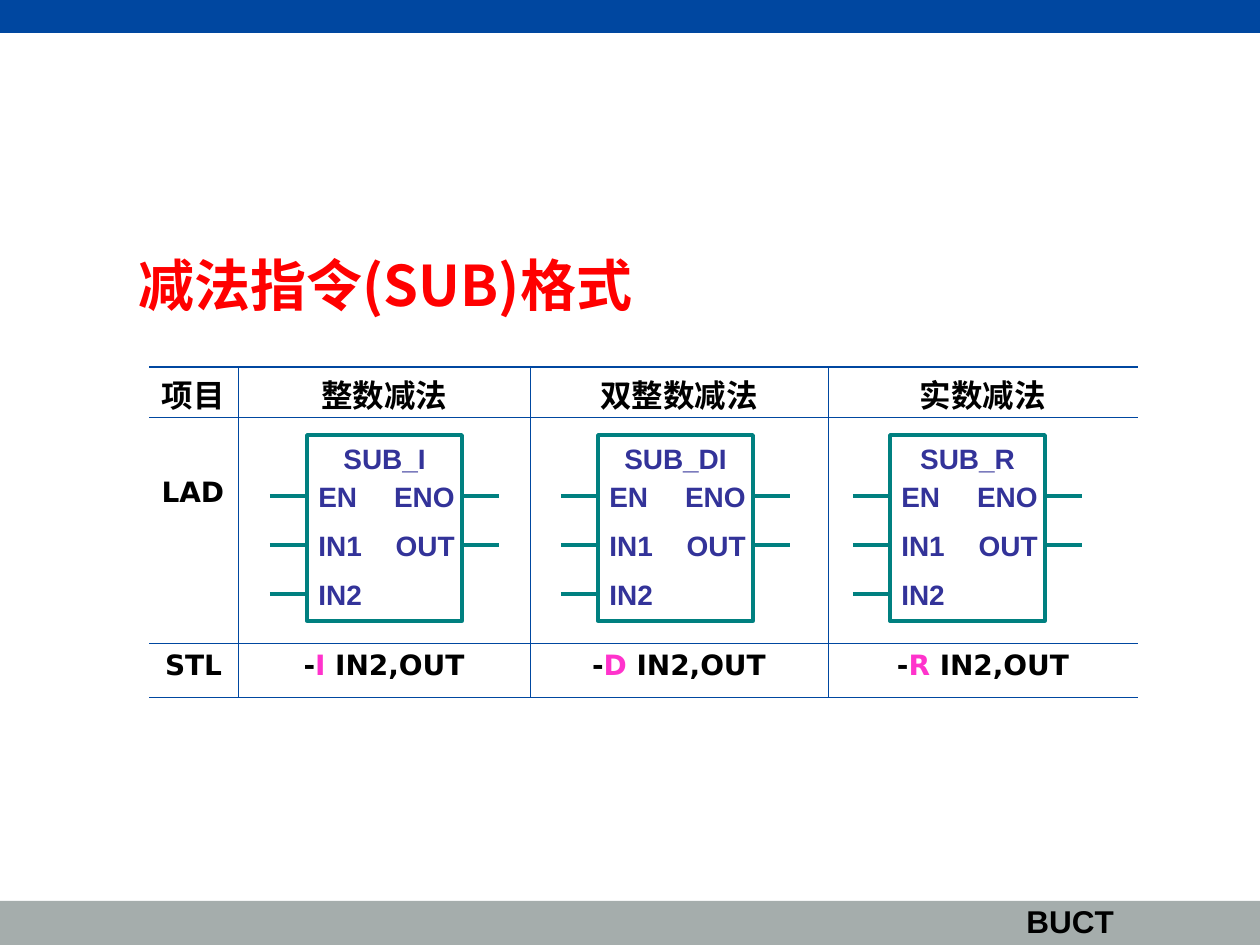
from collections import namedtuple
from dataclasses import dataclass

from lxml import etree
from pptx import Presentation
from pptx.dml.color import RGBColor
from pptx.enum.shapes import MSO_CONNECTOR, MSO_SHAPE
from pptx.enum.text import MSO_ANCHOR, MSO_AUTO_SIZE, PP_ALIGN
from pptx.oxml.ns import qn
from pptx.util import Emu, Pt

Box = namedtuple("Box", "left top width height")


@dataclass(frozen=True)
class Theme:
    blue: str = "0047A0"
    grey: str = "A5ADAC"
    red: str = "FF0000"
    black: str = "000000"
    teal: str = "008080"
    indigo: str = "333399"
    pink: str = "FF33CC"
    label_font: str = "Arial"
    table_font: str = "DejaVu Sans"
    chinese_font: str = "Noto Sans CJK SC"
    title_size: int = 32
    heading_size: int = 18
    body_size: int = 16
    wire_width: float = 2
    rule_width: float = 0.45
    top_rule_width: float = 1.08


THEME = Theme()
SUBTRACTIONS = [  # heading, block name, STL type letter
    ("整数减法", "SUB_I", "I"),
    ("双整数减法", "SUB_DI", "D"),
    ("实数减法", "SUB_R", "R"),
]


def px(length):
    return Emu(round(length * 914400 / 126))


def emu(box):
    return [px(length) for length in box]


def rgb(color):
    return RGBColor.from_string(color)


def format_paragraph(paragraph, size, color, font, align=PP_ALIGN.LEFT):
    paragraph.alignment = align
    paragraph.font.size = Pt(size)
    paragraph.font.bold = True
    paragraph.font.color.rgb = rgb(color)
    paragraph.font.name = font
    defaults = paragraph._p.pPr.find(qn("a:defRPr"))
    etree.SubElement(defaults, qn("a:ea")).set("typeface", THEME.chinese_font)


def add_label(shapes, box, text, size, color, align=PP_ALIGN.LEFT):
    frame = shapes.add_textbox(*emu(box)).text_frame
    frame.word_wrap = True
    frame.text = text
    format_paragraph(frame.paragraphs[0], size, color, THEME.label_font, align)


def add_band(shapes, box, color):
    band = shapes.add_shape(MSO_SHAPE.RECTANGLE, *emu(box))
    band.shadow.inherit = False
    band.fill.solid()
    band.fill.fore_color.rgb = rgb(color)
    band.line.fill.background()


def add_footer(shapes, box):
    add_band(shapes, box, THEME.grey)
    school = Box(box.left + 1014, box.top - 5, 126, 50)
    add_label(shapes, school, "BUCT", THEME.heading_size, THEME.black)


def place_title(title, box):
    title.left, title.top, title.width, title.height = emu(box)
    frame = title.text_frame
    frame.text = "减法指令(SUB)格式"
    frame.auto_size = MSO_AUTO_SIZE.NONE
    frame.vertical_anchor = MSO_ANCHOR.MIDDLE
    format_paragraph(frame.paragraphs[0], THEME.title_size, THEME.red,
                     THEME.chinese_font, PP_ALIGN.CENTER)


def set_borders(cell, widths):
    """Draw left, right, top and bottom rules; a width of 0 hides the rule."""
    properties = cell._tc.get_or_add_tcPr()
    for side, width in zip("LRTB", widths):
        rule = etree.SubElement(properties, qn(f"a:ln{side}"), w=str(Pt(width)))
        if width:
            fill = etree.SubElement(rule, qn("a:solidFill"))
            etree.SubElement(fill, qn("a:srgbClr"), val=THEME.blue)
        else:
            etree.SubElement(rule, qn("a:noFill"))
    cell.fill.background()


def write_cell(cell, pieces, size, align=PP_ALIGN.CENTER):
    """Write (text, color) pieces; a color of None keeps the paragraph's."""
    paragraph = cell.text_frame.paragraphs[0]
    format_paragraph(paragraph, size, THEME.black, THEME.table_font, align)
    for text, color in pieces:
        run = paragraph.add_run()
        run.text = text
        if color:
            run.font.color.rgb = rgb(color)


def add_format_table(shapes, box, widths, heights):
    table = shapes.add_table(len(heights), len(widths), *emu(box)).table
    table.first_row = table.horz_banding = False
    for column, width in zip(table.columns, widths):
        column.width = px(width)
    for row, height in zip(table.rows, heights):
        row.height = px(height)

    thin, last = THEME.rule_width, len(widths) - 1
    for r in range(len(heights)):
        for c in range(len(widths)):
            top = thin if r else THEME.top_rule_width
            set_borders(table.cell(r, c),
                        (thin if c else 0, thin if c < last else 0, top, thin))

    headings = ["项目"] + [heading for heading, _, _ in SUBTRACTIONS]
    for c, heading in enumerate(headings):
        cell = table.cell(0, c)
        cell.margin_top, cell.margin_bottom = px(4), 0
        write_cell(cell, [(heading, None)], THEME.heading_size,
                   PP_ALIGN.CENTER if c else PP_ALIGN.LEFT)

    ladder = table.cell(1, 0)
    ladder.margin_top = px(60)
    write_cell(ladder, [("LAD", None)], THEME.body_size, PP_ALIGN.LEFT)

    write_cell(table.cell(2, 0), [("STL", None)], THEME.body_size)
    for c, (_, _, letter) in enumerate(SUBTRACTIONS, start=1):
        statement = [("-", None), (letter, THEME.pink), (" IN2,OUT", None)]
        write_cell(table.cell(2, c), statement, THEME.body_size)


def add_wire(shapes, left, y, length):
    wire = shapes.add_connector(MSO_CONNECTOR.STRAIGHT, px(left), px(y),
                                px(left + length), px(y))
    wire.line.color.rgb = rgb(THEME.teal)
    wire.line.width = Pt(THEME.wire_width)
    etree.SubElement(wire._element.spPr, qn("a:effectLst"))


def add_ladder_block(shapes, box, name):
    """Draw a function block whose pins have wires outside the box."""
    block = shapes.add_group_shape().shapes
    body = block.add_shape(MSO_SHAPE.RECTANGLE, *emu(box))
    body.shadow.inherit = False
    body.fill.background()
    body.line.color.rgb = rgb(THEME.teal)
    body.line.width = Pt(THEME.wire_width)

    label_height, wire_length, first_pin, pin_gap = 47, 37, 61, 49
    add_label(block, Box(box.left, box.top, box.width, label_height), name,
              THEME.body_size, THEME.indigo, PP_ALIGN.CENTER)

    right = box.left + box.width
    sides = [
        (("EN", "IN1", "IN2"), box.left - 1, 74, box.left - wire_length, PP_ALIGN.LEFT),
        (("ENO", "OUT"), right - 90, 95, right, PP_ALIGN.RIGHT),
    ]
    for pins, label_left, label_width, wire_left, align in sides:
        for i, pin in enumerate(pins):
            y = box.top + first_pin + i * pin_gap
            label = Box(label_left, y - 23, label_width, label_height)
            add_label(block, label, pin, THEME.body_size, THEME.indigo, align)
            add_wire(block, wire_left, y, wire_length)


def main():
    presentation = Presentation()
    presentation.slide_width, presentation.slide_height = px(1260), px(945)
    slide = presentation.slides.add_slide(presentation.slide_layouts[5])
    shapes = slide.shapes

    add_band(shapes, Box(0, 0, 1260, 33), THEME.blue)
    add_footer(shapes, Box(0, 901, 1260, 44))
    place_title(shapes.title, Box(105, 244, 561, 81))
    add_format_table(shapes, Box(149, 367, 989, 330),
                     widths=(89, 292, 298, 310), heights=(50, 226, 54))
    for left, (_, name, _) in zip((307, 598, 890), SUBTRACTIONS):
        add_ladder_block(shapes, Box(left, 435, 155, 186), name)

    presentation.save("out.pptx")


if __name__ == "__main__":
    main()
